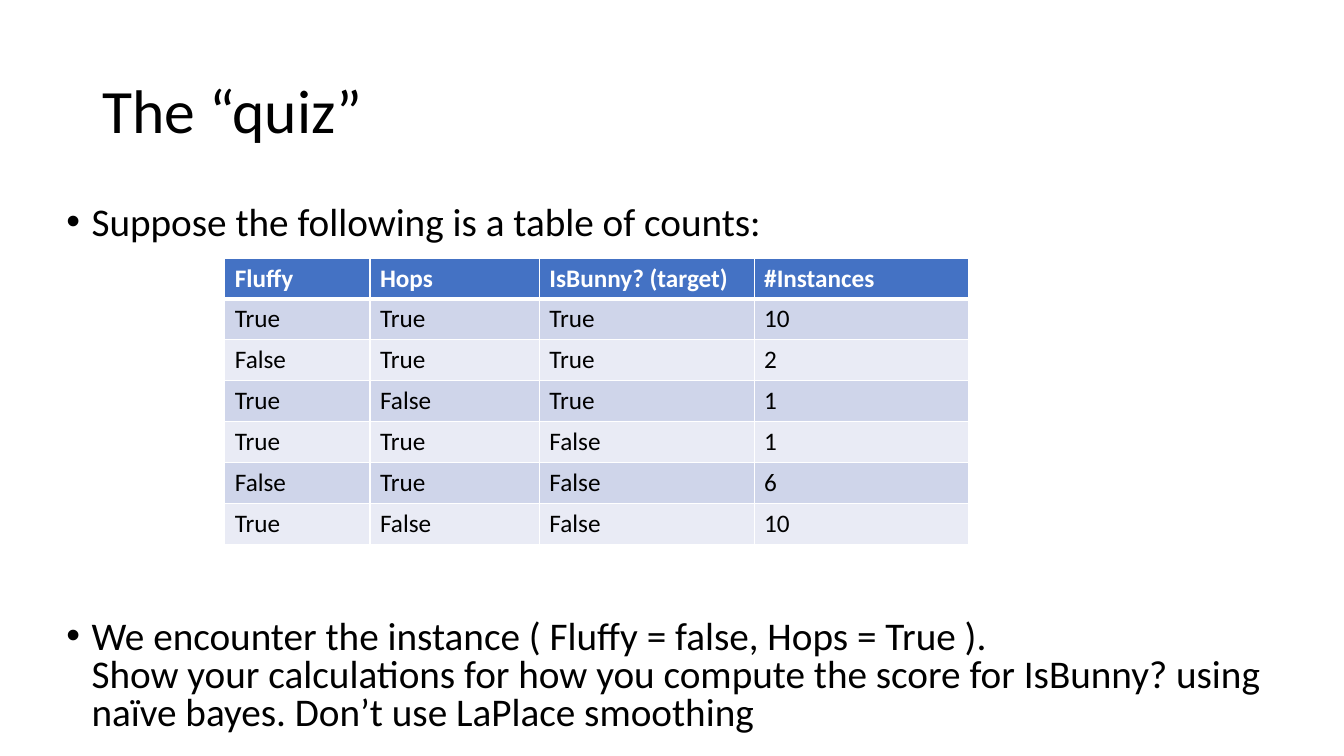
from pptx import Presentation, util as u
from pptx.dml.color import RGBColor
from pptx.enum import text
from pptx.oxml import parse_xml
from pptx.oxml.ns import nsdecls

TITLE = "The “quiz”"
POINTS = [
    (["Suppose the following is a table of counts:"], 0),
    (["We encounter the instance ( Fluffy = false, Hops = True ).",
      "Show your calculations for how you compute the score for IsBunny? "
      "using naïve bayes. Don’t use LaPlace smoothing"], 269),
]
COUNTS = [
    ("Fluffy", "Hops", "IsBunny? (target)", "#Instances"),
    ("True", "True", "True", "10"),
    ("False", "True", "True", "2"),
    ("True", "False", "True", "1"),
    ("True", "True", "False", "1"),
    ("False", "True", "False", "6"),
    ("True", "False", "False", "10"),
]
WIDTHS = [1.44, 1.68, 2.13, 2.13]
HEIGHT = 2.84
THEME = {
    "font": "Calibri", "title": 44, "body": 28, "cell": 18,
    "ink": "000000", "paper": "FFFFFF", "head": "4472C4",
    "bands": ("CFD5EA", "E9EBF5"),
}


def add_run(para, words, size, ink="ink", bold=False):
    run = para.add_run()
    run.text = words
    font = run.font
    font.name, font.size, font.bold = THEME["font"], u.Pt(THEME[size]), bold
    font.color.rgb = RGBColor.from_string(THEME[ink])


def add_box(slide, left, top, width, height):
    box = slide.shapes.add_textbox(*map(u.Inches, (left, top, width, height)))
    box.text_frame.word_wrap = True
    return box.text_frame


def add_title(slide):
    frame = add_box(slide, 0.92, 0.4, 11.5, 1.45)
    frame.vertical_anchor = text.MSO_ANCHOR.MIDDLE
    para = frame.paragraphs[0]
    para.line_spacing = 0.9
    add_run(para, TITLE, "title")


def add_points(slide):
    frame = add_box(slide, 0.56, 2, 12.28, 5.79)
    for i, (lines, gap) in enumerate(POINTS):
        para = frame.add_paragraph() if i else frame.paragraphs[0]
        props = para._p.get_or_add_pPr()
        props.set("marL", str(u.Inches(0.25)))
        props.set("indent", str(-u.Inches(0.25)))
        props.append(parse_xml(f'<a:buFont {nsdecls("a")} typeface="Arial"/>'))
        props.append(parse_xml(f'<a:buChar {nsdecls("a")} char="•"/>'))
        para.line_spacing = 0.8
        para.space_before = u.Pt(gap)
        for j, line in enumerate(lines):
            if j:
                para.add_line_break()
            add_run(para, line, "body")


def add_edges(cell, base):
    props = cell._tc.get_or_add_tcPr()
    for i, (side, width) in enumerate(zip("LRTB", (1, 1, 1, base))):
        props.insert(i, parse_xml(
            f'<a:ln{side} {nsdecls("a")} w="{u.Pt(width)}"><a:solidFill>'
            f'<a:srgbClr val="{THEME["paper"]}"/></a:solidFill></a:ln{side}>'))


def add_counts(slide):
    size = map(u.Inches, (2.23, 2.56, sum(WIDTHS), HEIGHT))
    table = slide.shapes.add_table(len(COUNTS), len(WIDTHS), *size).table
    for col, width in zip(table.columns, WIDTHS):
        col.width = u.Inches(width)
    for r, row in enumerate(COUNTS):
        head = r == 0
        fill = THEME["head"] if head else THEME["bands"][(r - 1) % 2]
        for c, words in enumerate(row):
            cell = table.cell(r, c)
            cell.fill.solid()
            cell.fill.fore_color.rgb = RGBColor.from_string(fill)
            add_edges(cell, 3 if head else 1)
            if r == 1:
                top = cell._tc.tcPr.find("{*}lnT")
                top.set("w", str(u.Pt(3)))
            add_run(cell.text_frame.paragraphs[0], words, "cell",
                    "paper" if head else "ink", head)


def main():
    deck = Presentation()
    deck.slide_width, deck.slide_height = u.Inches(13.33), u.Inches(7.5)
    slide = deck.slides.add_slide(deck.slide_layouts[6])
    add_title(slide)
    add_points(slide)
    add_counts(slide)
    deck.save("out.pptx")


if __name__ == "__main__":
    main()
